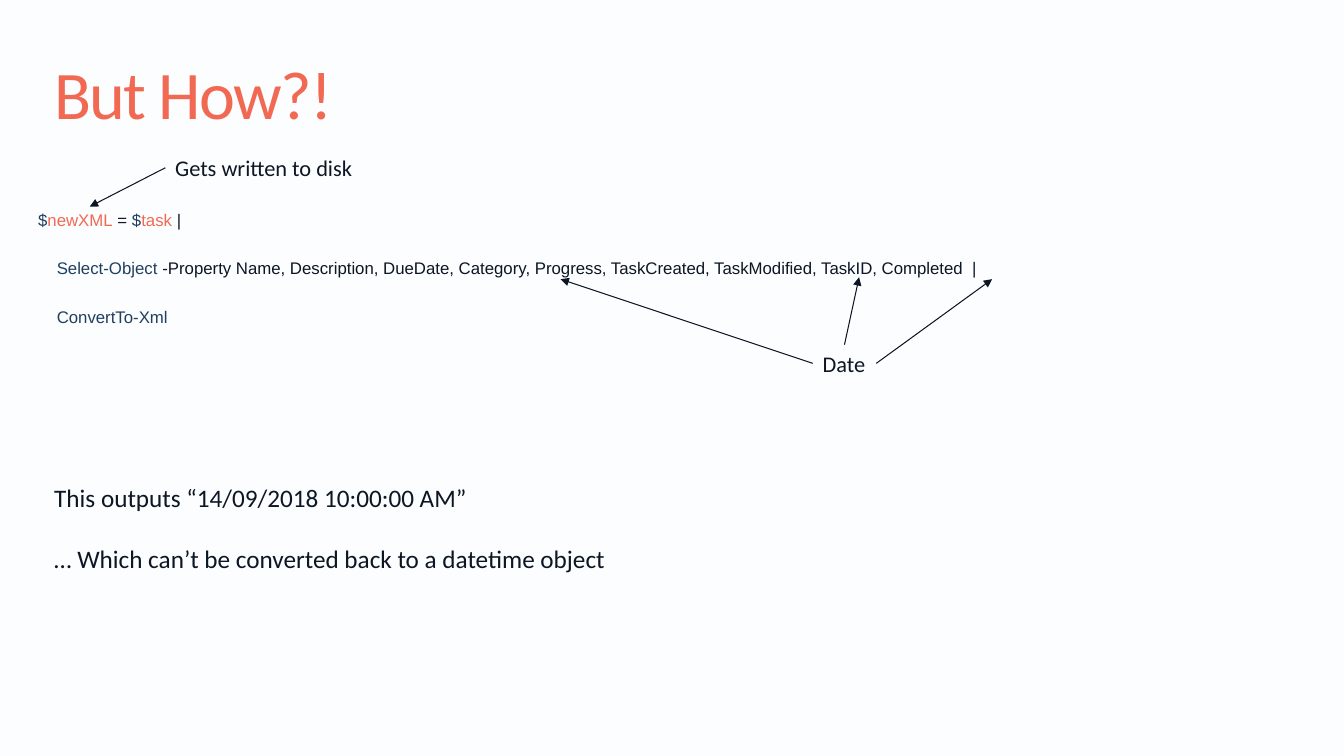
from dataclasses import dataclass

from lxml import etree
from pptx import Presentation
from pptx.dml.color import RGBColor
from pptx.enum.shapes import MSO_CONNECTOR
from pptx.enum.text import MSO_ANCHOR, MSO_AUTO_SIZE, PP_ALIGN
from pptx.oxml.ns import qn
from pptx.util import Inches, Pt

STRAIGHT = MSO_CONNECTOR.STRAIGHT
MIDDLE = MSO_ANCHOR.MIDDLE
LEFT = PP_ALIGN.LEFT
NO_FIT, GROW = MSO_AUTO_SIZE.NONE, MSO_AUTO_SIZE.SHAPE_TO_FIT_TEXT
TOP_SIDE, LEFT_SIDE, RIGHT_SIDE = 0, 1, 3

SLIDE_WIDTH, SLIDE_HEIGHT = Inches(13.33), Inches(7.5)


@dataclass(frozen=True)
class Theme:
    background: RGBColor = RGBColor.from_string("FCFDFE")
    accent: RGBColor = RGBColor.from_string("F16953")
    command: RGBColor = RGBColor.from_string("203F5F")
    ink: RGBColor = RGBColor.from_string("0C1624")
    text_font: str = "Calibri"
    code_font: str = "Arial"
    title_size: float = 48.6
    body_size: float = 18
    label_size: float = 16
    code_size: float = 12
    arrow_width: float = 0.75


THEME = Theme()


@dataclass(frozen=True)
class Area:
    """A box in percent of the slide's width and height."""
    left: float
    top: float
    width: float
    height: float


@dataclass(frozen=True)
class Arrow:
    side: int
    to_x: float
    to_y: float


@dataclass(frozen=True)
class Callout:
    text: str
    area: Area
    arrows: tuple[Arrow, ...]


TITLE_AREA = Area(3.3, 7.33, 93.77, 11.47)
CODE_AREA = Area(1.35, 25.73, 97.52, 61.73)
OUTPUT_AREA = Area(3.3, 63.2, 43.21, 13.47)

CALLOUTS = (
    Callout("Gets written to disk", Area(12.3, 19.73, 14.85, 4.93),
            (Arrow(LEFT_SIDE, 6.68, 27.33),)),
    Callout("Date", Area(60.47, 45.6, 4.73, 4.93),
            (Arrow(LEFT_SIDE, 41.71, 36.93),
             Arrow(TOP_SIDE, 63.92, 36.67),
             Arrow(RIGHT_SIDE, 73.82, 36.93))),
)

CODE_LINES = (
    (("$", THEME.command), ("newXML", THEME.accent), (" = ", THEME.ink),
     ("$", THEME.command), ("task ", THEME.accent), ("|", THEME.ink)),
    (("    Select-Object", THEME.command),
     (" -Property Name, Description, DueDate, Category, Progress, TaskCreated, "
      "TaskModified, TaskID, Completed  |", THEME.ink)),
    (("    ConvertTo-Xml", THEME.command),),
)

OUTPUT_LINES = (
    "This outputs “14/09/2018 10:00:00 AM”",
    "… Which can’t be converted back to a datetime object",
)


def across(percent: float) -> int:
    return round(SLIDE_WIDTH * percent / 100)


def down(percent: float) -> int:
    return round(SLIDE_HEIGHT * percent / 100)


def bounds(area: Area) -> tuple[int, int, int, int]:
    return across(area.left), down(area.top), across(area.width), down(area.height)


def format_font(font, name: str, size: float, color: RGBColor) -> None:
    font.name = name
    font.size = Pt(size)
    font.color.rgb = color


def add_title(slide, text: str) -> None:
    title = slide.shapes.title
    title.left, title.top, title.width, title.height = bounds(TITLE_AREA)
    frame = title.text_frame
    frame.text = text
    frame.auto_size = NO_FIT
    frame.vertical_anchor = MIDDLE
    paragraph = frame.paragraphs[0]
    paragraph.alignment = LEFT
    paragraph.line_spacing = 0.85
    run = paragraph.runs[0]
    format_font(run.font, THEME.text_font, THEME.title_size, THEME.accent)
    run.font._element.set("spc", "-120")


def add_code(slide) -> None:
    frame = slide.shapes.add_textbox(*bounds(CODE_AREA)).text_frame
    frame.word_wrap = True
    for index, line in enumerate(CODE_LINES):
        paragraph = frame.add_paragraph() if index else frame.paragraphs[0]
        paragraph.line_spacing = 1.5
        if index:
            paragraph.space_before = Pt(13)
        paragraph._p.get_or_add_pPr().set("marL", str(Inches(0.1)))
        for text, color in line:
            run = paragraph.add_run()
            run.text = text
            format_font(run.font, THEME.code_font, THEME.code_size, color)


def add_text(slide, area: Area, lines: tuple[str, ...], size: float, gap: float = 0):
    """Add an unwrapped text box with gap points between its paragraphs."""
    box = slide.shapes.add_textbox(*bounds(area))
    frame = box.text_frame
    frame.text = "\n".join(lines)
    frame.word_wrap = False
    frame.auto_size = GROW
    for index, paragraph in enumerate(frame.paragraphs):
        if index and gap:
            paragraph.space_before = Pt(gap)
        format_font(paragraph.runs[0].font, THEME.text_font, size, THEME.ink)
    return box


def add_arrow(slide, box, arrow: Arrow) -> None:
    end = across(arrow.to_x), down(arrow.to_y)
    connector = slide.shapes.add_connector(STRAIGHT, box.left, box.top, *end)
    connector.begin_connect(box, arrow.side)
    connector.line.color.rgb = THEME.ink
    connector.line.width = Pt(THEME.arrow_width)
    etree.SubElement(connector.line._get_or_add_ln(), qn("a:tailEnd"), type="triangle")
    etree.SubElement(connector._element.spPr, qn("a:effectLst"))


def main() -> None:
    presentation = Presentation()
    presentation.slide_width, presentation.slide_height = SLIDE_WIDTH, SLIDE_HEIGHT
    title_only = presentation.slide_layouts.get_by_name("Title Only")
    slide = presentation.slides.add_slide(title_only)
    slide.background.fill.solid()
    slide.background.fill.fore_color.rgb = THEME.background

    add_title(slide, "But How?!")
    add_code(slide)
    for callout in CALLOUTS:
        box = add_text(slide, callout.area, (callout.text,), THEME.label_size)
        for arrow in callout.arrows:
            add_arrow(slide, box, arrow)
    add_text(slide, OUTPUT_AREA, OUTPUT_LINES, THEME.body_size, gap=22)

    presentation.save("out.pptx")


if __name__ == "__main__":
    main()
